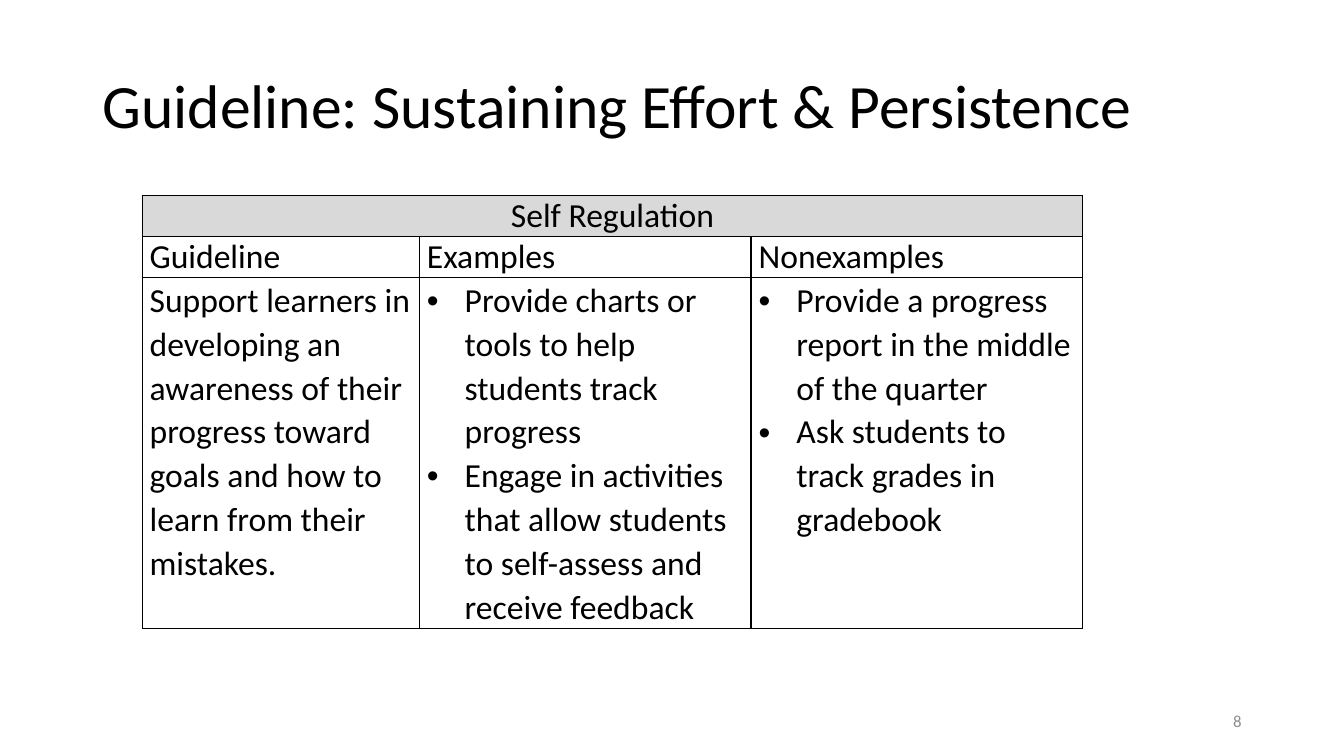
from lxml.etree import SubElement
from pptx import Presentation
from pptx.dml.color import RGBColor
from pptx.enum.text import MSO_ANCHOR, MSO_AUTO_SIZE, PP_ALIGN
from pptx.oxml import parse_xml
from pptx.oxml.ns import nsdecls, qn
from pptx.util import Pt

BLACK = RGBColor(0x00, 0x00, 0x00)
BAND_GRAY = RGBColor(0xD9, 0xD9, 0xD9)
NUMBER_GRAY = RGBColor(0x8C, 0x8C, 0x8C)

TITLE_FONT = {"name": "Calibri", "size": Pt(44)}
TABLE_FONT = {"name": "Calibri", "size": Pt(24), "bold": False}
NUMBER_FONT = {"name": "Calibri", "size": Pt(12)}

COLUMN_WIDTHS = (198, 237, 237)
ROW_HEIGHTS = (22.3, 22.3, 244)
HEADINGS = ("Guideline", "Examples", "Nonexamples")
GUIDELINE = ("Support learners in developing an awareness of their progress "
             "toward goals and how to learn from their mistakes.")
EXAMPLES = ("Provide charts or tools to help students track progress",
            "Engage in activities that allow students to self-assess "
            "and receive feedback")
NONEXAMPLES = ("Provide a progress report in the middle of the quarter",
               "Ask students to track grades in gradebook")


def set_all(target, values):
    for name, value in values.items():
        setattr(target, name, value)


def place(shape, left, top, width, height):
    set_all(shape, {"left": Pt(left), "top": Pt(top),
                    "width": Pt(width), "height": Pt(height)})


def write(para, text, font, color, **layout):
    para.text = text
    set_all(para, layout)
    set_all(para.font, font)
    para.font.color.rgb = color


def add_bullet(para):
    props = para._p.get_or_add_pPr()
    props.set("marL", str(Pt(27)))
    props.set("indent", str(-Pt(27)))
    SubElement(props, qn("a:buFont"), typeface="Arial")
    SubElement(props, qn("a:buChar"), char="•")


def add_borders(cell):
    props = cell._tc.get_or_add_tcPr()
    for index, side in enumerate(("lnL", "lnR", "lnT", "lnB")):
        props.insert(index, parse_xml(
            f'<a:{side} {nsdecls("a")} w="{Pt(1)}"><a:solidFill>'
            f'<a:srgbClr val="{BLACK}"/></a:solidFill></a:{side}>'))


def fill_cell(cell, lines, bulleted=False, **layout):
    frame = cell.text_frame
    for index, line in enumerate(lines):
        para = frame.add_paragraph() if index else frame.paragraphs[0]
        if bulleted:
            add_bullet(para)
        write(para, line, TABLE_FONT, BLACK, **layout)


def add_title(page, text):
    title = page.shapes.title
    place(title, 66, 25.2, 828, 104.4)
    set_all(title.text_frame, {"auto_size": MSO_AUTO_SIZE.NONE,
                               "vertical_anchor": MSO_ANCHOR.MIDDLE,
                               "word_wrap": True})
    write(title.text_frame.paragraphs[0], text, TITLE_FONT, BLACK,
          alignment=PP_ALIGN.LEFT, line_spacing=0.9)


def add_grid(page):
    table = page.shapes.add_table(
        len(ROW_HEIGHTS), len(COLUMN_WIDTHS), Pt(101.5), Pt(139.7),
        Pt(sum(COLUMN_WIDTHS)), Pt(sum(ROW_HEIGHTS))).table
    set_all(table, {"first_row": False, "horz_banding": False})
    for column, width in zip(table.columns, COLUMN_WIDTHS):
        column.width = Pt(width)
    for row, height in zip(table.rows, ROW_HEIGHTS):
        row.height = Pt(height)
    for cell in table.iter_cells():
        set_all(cell, {"margin_left": Pt(5.4), "margin_right": Pt(5.4),
                       "margin_top": 0, "margin_bottom": 0})
        cell.fill.background()
        add_borders(cell)
    return table


def add_guideline_table(page):
    table = add_grid(page)
    # Band across all columns
    band = table.cell(0, 0)
    band.merge(table.cell(0, 2))
    band.fill.solid()
    band.fill.fore_color.rgb = BAND_GRAY
    fill_cell(band, ["Self Regulation"], alignment=PP_ALIGN.CENTER)
    # Column headings
    for column, heading in enumerate(HEADINGS):
        fill_cell(table.cell(1, column), [heading])
    # Guideline with its examples
    fill_cell(table.cell(2, 0), [GUIDELINE], line_spacing=1.07)
    for column, points in enumerate((EXAMPLES, NONEXAMPLES), start=1):
        fill_cell(table.cell(2, column), points, bulleted=True,
                  line_spacing=1.07)


def add_page_number(page, number):
    box = page.shapes.add_textbox(Pt(678), Pt(500.4), Pt(216), Pt(28.8))
    set_all(box.text_frame, {"word_wrap": True,
                             "vertical_anchor": MSO_ANCHOR.MIDDLE})
    write(box.text_frame.paragraphs[0], number, NUMBER_FONT, NUMBER_GRAY,
          alignment=PP_ALIGN.RIGHT)


def main():
    deck = Presentation()
    set_all(deck, {"slide_width": Pt(960), "slide_height": Pt(540)})
    page = deck.slides.add_slide(deck.slide_layouts.get_by_name("Title Only"))
    add_title(page, "Guideline: Sustaining Effort & Persistence")
    add_guideline_table(page)
    add_page_number(page, "8")
    deck.save("out.pptx")


if __name__ == "__main__":
    main()
